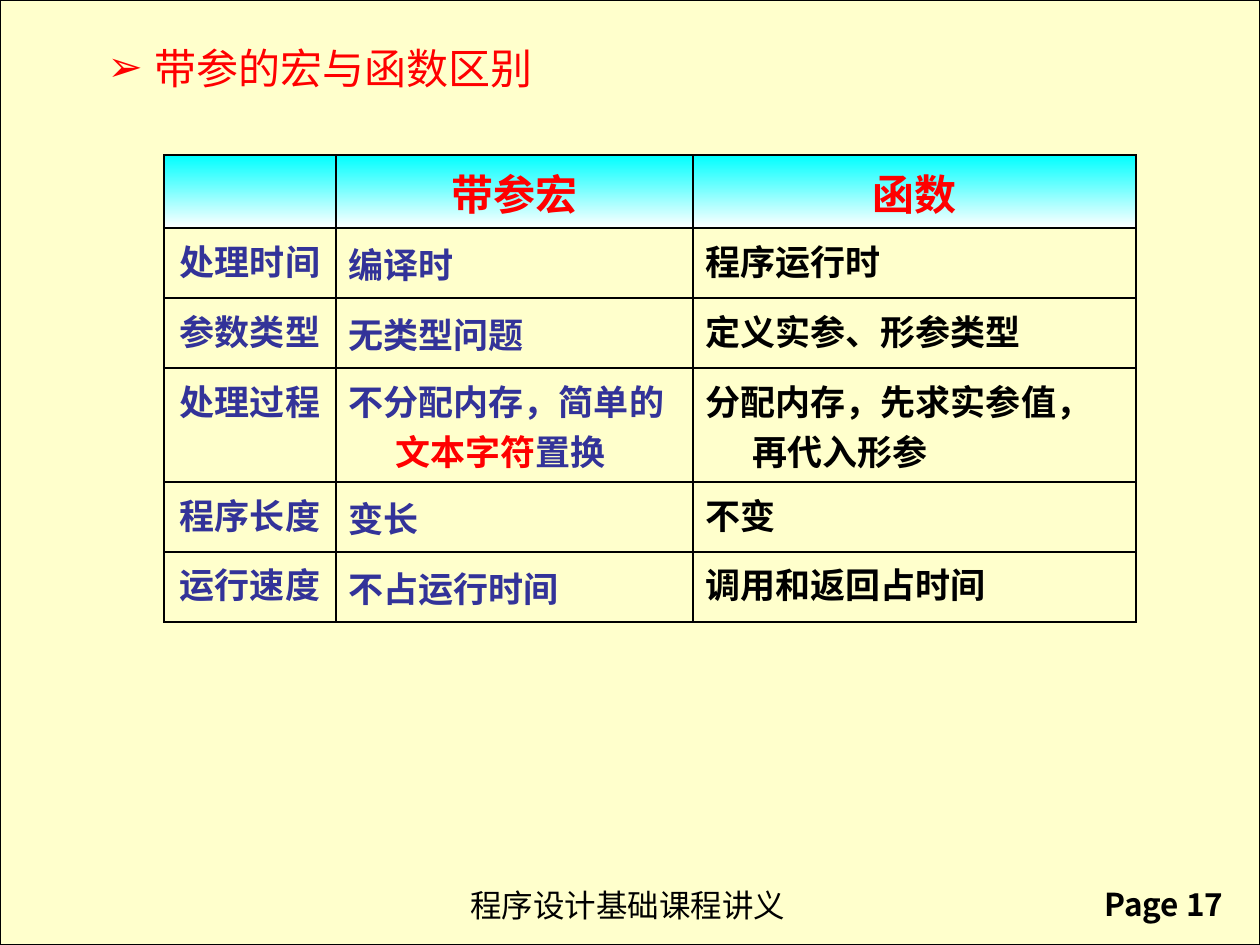
from lxml import etree
from pptx import Presentation, util as u
from pptx.dml.color import RGBColor
from pptx.enum import shapes, text
from pptx.oxml import ns

SCALE = 914400 / 126
RED, BLUE, BLACK = "FF0000", "333399", "000000"
CJK = "Noto Sans CJK SC"


def px(length):
    return u.Emu(round(length * SCALE))


def style(span, size, color, bold=False, face="Arial"):
    span.font.size = u.Pt(size)
    span.font.bold = bold
    span.font.color.rgb = RGBColor.from_string(color)
    span.font.name = face
    etree.SubElement(span.font._element, ns.qn("a:ea"), typeface=CJK)


deck = Presentation()
deck.slide_width, deck.slide_height = px(1260), px(945)
page = deck.slides.add_slide(deck.slide_layouts[1])
title = page.shapes.title
title.element.getparent().remove(title.element)

heading = page.placeholders[1]
heading.left, heading.top, heading.width, heading.height = px(95), px(36), px(525), px(69)
heading.text_frame.text = "带参的宏与函数区别"
heading.text_frame.auto_size = text.MSO_AUTO_SIZE.NONE
para = heading.text_frame.paragraphs[0]
style(para.runs[0], 24, RED)
props = para._p.get_or_add_pPr()
props.set("marL", str(px(47)))
props.set("indent", str(px(-47)))
etree.SubElement(props, ns.qn("a:buChar"), char="➢")

backdrop = page.shapes.add_shape(shapes.MSO_SHAPE.RECTANGLE, 0, 0, px(1260), px(945))
backdrop.shadow.inherit = False
backdrop.fill.solid()
backdrop.fill.fore_color.rgb = RGBColor.from_string("FFFFCC")
backdrop.line.color.rgb = RGBColor.from_string(BLACK)
backdrop.line.width = u.Pt(0.75)
heading.element.addprevious(backdrop.element)

footers = [
    ("程序设计基础课程讲义", 458, 880, 344, False, "Arial"),
    ("Page 17", 1092, 879, 161, True, CJK),
]
for words, left, top, width, bold, face in footers:
    box = page.shapes.add_textbox(px(left), px(top), px(width), px(50))
    box.text_frame.text = words
    box.text_frame.word_wrap = False
    box.text_frame.auto_size = text.MSO_AUTO_SIZE.SHAPE_TO_FIT_TEXT
    style(box.text_frame.paragraphs[0].runs[0], 18, BLACK, bold, face)

rows = [
    ("", "带参宏", "函数"),
    ("处理时间", "编译时", "程序运行时"),
    ("参数类型", "无类型问题", "定义实参、形参类型"),
    ("处理过程", "不分配内存，简单的|文本字符|置换", "分配内存，先求实参值，再代入形参"),
    ("程序长度", "变长", "不变"),
    ("运行速度", "不占运行时间", "调用和返回占时间"),
]
widths = [172, 357, 443]
heights = [73, 70, 70, 114, 70, 70]
frame = page.shapes.add_table(6, 3, px(164), px(155), px(sum(widths)), px(sum(heights)))
table = frame.table
table.first_row = table.horz_banding = False
for column, width in zip(table.columns, widths):
    column.width = px(width)
for row, height in zip(table.rows, heights):
    row.height = px(height)

for r, words in enumerate(rows):
    for c, content in enumerate(words):
        cell = table.cell(r, c)
        if r == 0:
            cell.fill.gradient()
            cell.fill.gradient_angle = 270
            for stop, color in zip(cell.fill.gradient_stops, ("00FFFF", "FFFFFF")):
                stop.color.rgb = RGBColor.from_string(color)
        else:
            cell.fill.background()
        if c == 1 and r not in (0, 3):
            cell.vertical_anchor = text.MSO_ANCHOR.MIDDLE

        para = cell.text_frame.paragraphs[0]
        if r == 0 or c == 0:
            para.alignment = text.PP_ALIGN.CENTER
        props = para._p.get_or_add_pPr()
        props.set("marL", str(px(47)))
        props.set("indent", str(px(-47)))
        for part, piece in enumerate(content.split("|") if content else []):
            span = para.add_run()
            span.text = piece
            color = RED if r == 0 or part == 1 else BLACK if c == 2 else BLUE
            style(span, 24 if r == 0 else 20, color, True, CJK if (r, c) == (3, 2) else "Arial")

        edges = cell._tc.get_or_add_tcPr()
        for place, side in enumerate(("lnL", "lnR", "lnT", "lnB")):
            border = etree.Element(ns.qn(f"a:{side}"), w=str(u.Pt(1)))
            paint = etree.SubElement(border, ns.qn("a:solidFill"))
            etree.SubElement(paint, ns.qn("a:srgbClr"), val=BLACK)
            edges.insert(place, border)

deck.save("out.pptx")
